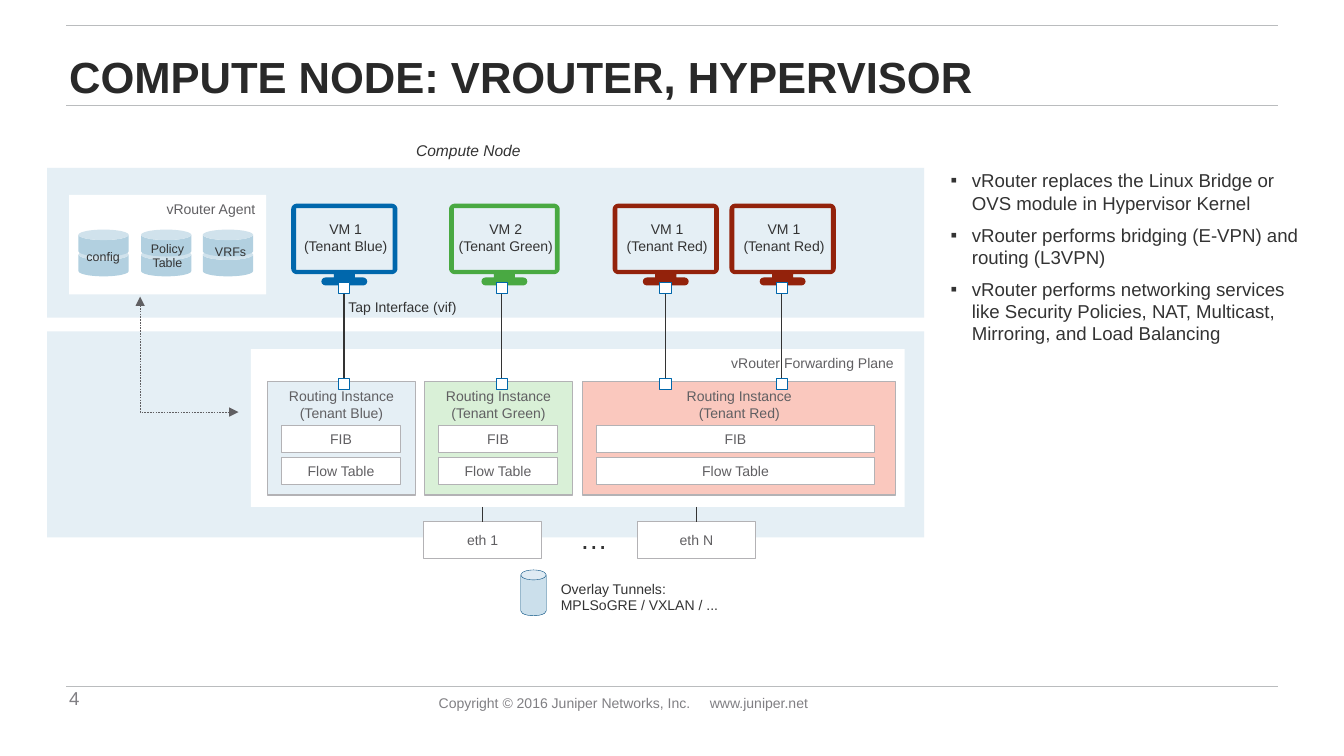
"""Build a slide on the compute node, its vRouter and its hypervisor."""
import math
from dataclasses import dataclass

import lxml.etree
import pptx
import pptx.dml.color
import pptx.enum.dml
import pptx.enum.shapes
import pptx.enum.text
import pptx.oxml.ns
import pptx.shapes.autoshape
import pptx.shapes.base
import pptx.shapes.connector
import pptx.slide
import pptx.util

Cm = pptx.util.Cm
Pt = pptx.util.Pt
RGBColor = pptx.dml.color.RGBColor
Preset = pptx.enum.shapes.MSO_SHAPE
Align = pptx.enum.text.PP_ALIGN
Anchor = pptx.enum.text.MSO_ANCHOR
qualify = pptx.oxml.ns.qn

WHITE = RGBColor(0xFF, 0xFF, 0xFF)
TITLE_BLACK = RGBColor(0x29, 0x29, 0x29)
DARK = RGBColor(0x33, 0x33, 0x33)
GREY = RGBColor(0x60, 0x5F, 0x62)
FOOTER_GREY = RGBColor(0x80, 0x7F, 0x83)
BORDER = RGBColor(0xB3, 0xB2, 0xB5)
RULE = RGBColor(0xBA, 0xBC, 0xBE)
PALE_BLUE = RGBColor(0xE5, 0xEF, 0xF5)
PALE_GREEN = RGBColor(0xD9, 0xF0, 0xD7)
PALE_RED = RGBColor(0xFA, 0xC8, 0xBE)
BLUE = RGBColor(0x00, 0x67, 0xAC)
GREEN = RGBColor(0x49, 0xA9, 0x42)
RED = RGBColor(0x93, 0x22, 0x0B)
STORE_BLUE = RGBColor(0xB2, 0xD0, 0xE0)
TUNNEL_BLUE = RGBColor(0xCB, 0xDF, 0xEB)
TUNNEL_EDGE = RGBColor(0x00, 0x4C, 0x7F)

TAP_SIZE = 0.26


@dataclass(frozen=True)
class Box:
    left: float
    top: float
    width: float
    height: float

    def lengths(self) -> tuple:
        return Cm(self.left), Cm(self.top), Cm(self.width), Cm(self.height)


@dataclass(frozen=True)
class RoutingInstance:
    tenant: str
    left: float
    width: float
    table_width: float
    fill: RGBColor


@dataclass(frozen=True)
class Machine:
    label: str
    center: float
    width: float
    tap_center: float
    color: RGBColor


@dataclass(frozen=True)
class Store:
    label: str
    left: float
    label_box: Box


INSTANCES = [
    RoutingInstance("Blue", 6.07, 3.35, 2.69, PALE_BLUE),
    RoutingInstance("Green", 9.63, 3.35, 2.69, PALE_GREEN),
    RoutingInstance("Red", 13.21, 7.11, 6.3, PALE_RED),
]
MACHINES = [
    Machine("VM 1\n(Tenant Blue)", 7.81, 2.41, 7.8, BLUE),
    Machine("VM 2\n(Tenant Green)", 11.44, 2.51, 11.38, GREEN),
    Machine("VM 1\n(Tenant Red)", 15.1, 2.41, 15.09, RED),
    Machine("VM 1\n(Tenant Red)", 17.75, 2.41, 17.73, RED),
]
STORES = [
    Store("config", 1.78, Box(1.63, 5.51, 1.42, 0.61)),
    Store("Policy Table", 3.2, Box(3.15, 5.33, 1.3, 0.94)),
    Store("VRFs", 4.6, Box(4.52, 5.41, 1.42, 0.61)),
]
BULLETS = [
    "vRouter replaces the Linux Bridge or OVS module in Hypervisor Kernel",
    "vRouter performs bridging (E-VPN) and routing (L3VPN)",
    "vRouter performs networking services like Security Policies, NAT, Multicast, "
    "Mirroring, and Load Balancing",
]


def write_text(shape: pptx.shapes.base.BaseShape, text: str, *, size: float = 9,
               color: RGBColor = DARK, align: Align = Align.LEFT, anchor: Anchor = Anchor.TOP,
               bold: bool = False, italic: bool = False, wrap: bool = True,
               margins: tuple = (0.25, 0.13, 0.25, 0.13), line_spacing: float = 1.0,
               space_after: float = 0, bullet: str = "", tab: float = 0) -> None:
    frame = shape.text_frame
    frame.auto_size = pptx.enum.text.MSO_AUTO_SIZE.NONE
    frame.word_wrap = wrap
    frame.vertical_anchor = anchor
    frame.margin_left, frame.margin_top, frame.margin_right, frame.margin_bottom = map(Cm, margins)
    for index, line in enumerate(text.split("\n")):
        paragraph = frame.add_paragraph() if index else frame.paragraphs[0]
        paragraph.alignment = align
        paragraph.line_spacing = line_spacing
        paragraph.space_before = Pt(0)
        paragraph.space_after = Pt(space_after)
        properties = paragraph._p.get_or_add_pPr()
        if bullet:
            properties.set("marL", str(Cm(0.48)))
            properties.set("indent", str(-Cm(0.48)))
            lxml.etree.SubElement(properties, qualify("a:buChar"), char=bullet)
        if tab:
            tabs = lxml.etree.SubElement(properties, qualify("a:tabLst"))
            lxml.etree.SubElement(tabs, qualify("a:tab"), pos=str(Cm(tab)), algn="l")
        run = paragraph.add_run()
        run.text = line
        run.font.name, run.font.size = "Arial", Pt(size)
        run.font.bold, run.font.italic = bold, italic
        run.font.color.rgb = color


def add_label(slide: pptx.slide.Slide, box: Box, text: str, **text_format) -> None:
    write_text(slide.shapes.add_textbox(*box.lengths()), text, **text_format)


def add_block(slide: pptx.slide.Slide, box: Box, fill: RGBColor, border: RGBColor | None = None,
              border_width: float = 0.75, preset: Preset = Preset.RECTANGLE
              ) -> pptx.shapes.autoshape.Shape:
    shape = slide.shapes.add_shape(preset, *box.lengths())
    shape.shadow.inherit = False
    shape.fill.solid()
    shape.fill.fore_color.rgb = fill
    if border is None:
        shape.line.fill.background()
    else:
        shape.line.color.rgb = border
        shape.line.width = Pt(border_width)
    return shape


def add_can(slide: pptx.slide.Slide, box: Box, fill: RGBColor,
            border: RGBColor | None = None) -> None:
    add_block(slide, box, fill, border, 0.25, Preset.CAN).adjustments[0] = 0.39


def add_cell(slide: pptx.slide.Slide, box: Box, text: str) -> pptx.shapes.autoshape.Shape:
    cell = add_block(slide, box, WHITE, BORDER)
    write_text(cell, text, color=GREY, align=Align.CENTER, anchor=Anchor.MIDDLE)
    return cell


def add_line(slide: pptx.slide.Slide, start: tuple[float, float], end: tuple[float, float],
             color: RGBColor = DARK, width: float = 0.75) -> pptx.shapes.connector.Connector:
    line = slide.shapes.add_connector(pptx.enum.shapes.MSO_CONNECTOR.STRAIGHT,
                                      *map(Cm, start + end))
    line.line.color.rgb = color
    line.line.width = Pt(width)
    lxml.etree.SubElement(line._element.spPr, qualify("a:effectLst"))
    return line


def arc(x: float, y: float, radius: float, start: int, sweep: int = 90) -> list:
    angles = [math.radians(start + sweep * step / 6) for step in range(7)]
    return [(Cm(x + radius * math.cos(angle)), Cm(y + radius * math.sin(angle)))
            for angle in angles]


def add_monitor(slide: pptx.slide.Slide, machine: Machine) -> None:
    x, top, half, radius = machine.center, 4.62, machine.width / 2, 0.13
    side, bottom = half - radius, top + 1.6
    foot = bottom + 0.165
    outline = (arc(x - side, top + radius, radius, 180) + arc(x + side, top + radius, radius, 270)
               + arc(x + side, bottom - radius, radius, 0)
               + [(Cm(x + 0.24), Cm(bottom)), (Cm(x + 0.24), Cm(foot - 0.09))]
               + arc(x + 0.43, foot, 0.09, 270, 180) + arc(x - 0.43, foot, 0.09, 90, 180)
               + [(Cm(x - 0.24), Cm(foot - 0.09)), (Cm(x - 0.24), Cm(bottom))]
               + arc(x - side, bottom - radius, radius, 90))
    left, right = Cm(x - half + 0.11), Cm(x + half - 0.11)
    upper, lower = Cm(top + 0.1), Cm(top + 1.5)
    builder = slide.shapes.build_freeform(*outline[0])
    builder.add_line_segments(outline[1:])
    builder.move_to(right, lower)
    builder.add_line_segments([(left, lower), (left, upper), (right, upper)])
    monitor = builder.convert_to_shape()
    monitor.shadow.inherit = False
    monitor.fill.solid()
    monitor.fill.fore_color.rgb = machine.color
    monitor.line.fill.background()


def add_machine(slide: pptx.slide.Slide, machine: Machine) -> None:
    add_monitor(slide, machine)
    add_label(slide, Box(machine.center - 1.38, 4.88, 2.82, 1.02), machine.label,
              align=Align.CENTER)
    upper, lower = [add_block(slide, Box(machine.tap_center - TAP_SIZE / 2, top, TAP_SIZE, TAP_SIZE),
                              WHITE, BLUE, 0.25) for top in (6.4, 8.58)]
    link = add_line(slide, (machine.tap_center, 6.66), (machine.tap_center, 8.58))
    link.begin_connect(upper, 2)
    link.end_connect(lower, 0)


def add_instance(slide: pptx.slide.Slide, instance: RoutingInstance) -> None:
    card = add_block(slide, Box(instance.left, 8.66, instance.width, 2.57), instance.fill, BORDER)
    write_text(card, f"Routing Instance\n(Tenant {instance.tenant})", color=GREY,
               align=Align.CENTER)
    for text, top in (("FIB", 9.65), ("Flow Table", 10.38)):
        add_cell(slide, Box(instance.left + 0.32, top, instance.table_width, 0.62), text)


def add_agent_link(slide: pptx.slide.Slide) -> None:
    builder = slide.shapes.build_freeform(Cm(3.18), Cm(6.73))
    builder.add_line_segments([(Cm(3.18), Cm(9.35)), (Cm(5.41), Cm(9.35))], close=False)
    link = builder.convert_to_shape()
    link.shadow.inherit = False
    link.fill.background()
    link.line.color.rgb = GREY
    link.line.width = Pt(0.25)
    link.line.dash_style = pptx.enum.dml.MSO_LINE.DASH
    for end in ("a:headEnd", "a:tailEnd"):
        lxml.etree.SubElement(link.line._ln, qualify(end), type="triangle")


def place(shape: pptx.shapes.base.BaseShape, box: Box) -> None:
    shape.left, shape.top, shape.width, shape.height = box.lengths()


def main() -> None:
    presentation = pptx.Presentation()
    presentation.slide_width, presentation.slide_height = Cm(30.48), Cm(17.15)
    slide = presentation.slides.add_slide(presentation.slide_layouts[1])
    title, body = slide.placeholders
    place(title, Box(1.57, 0.64, 27.41, 1.85))
    write_text(title, "COMPUTE NODE: VROUTER, HYPERVISOR", size=28, color=TITLE_BLACK, bold=True,
               anchor=Anchor.BOTTOM, margins=(0, 0.15, 0.3, 0.15), line_spacing=0.9)
    place(body, Box(21.31, 3.71, 8.76, 4.27))
    write_text(body, "\n".join(BULLETS), size=12, space_after=6, bullet="▪")
    for height in (0.58, 2.39, 15.57):
        add_line(slide, (1.5, height), (28.98, height), RULE, 1)
    add_label(slide, Box(1.57, 15.57, 1.78, 0.51), "4", size=12, color=FOOTER_GREY,
              anchor=Anchor.BOTTOM, margins=(0, 0, 0, 0), wrap=False)
    add_label(slide, Box(9.65, 15.6, 9.04, 0.69),
              "Copyright © 2016 Juniper Networks, Inc.\twww.juniper.net", color=FOOTER_GREY,
              margins=(0.3, 0.15, 0.3, 0.15), tab=6.15)

    add_label(slide, Box(8.41, 3.07, 4.42, 0.69), "Compute Node", size=10, italic=True,
              align=Align.CENTER)
    add_block(slide, Box(1.07, 3.81, 19.89, 3.4), PALE_BLUE)
    add_block(slide, Box(1.07, 7.52, 19.89, 4.67), PALE_BLUE)
    plane = add_block(slide, Box(5.69, 7.92, 14.83, 3.58), WHITE)
    write_text(plane, "vRouter Forwarding Plane", color=GREY, align=Align.RIGHT)
    for instance in INSTANCES:
        add_instance(slide, instance)
    for machine in MACHINES:
        add_machine(slide, machine)
    add_label(slide, Box(7.65, 6.65, 4.42, 0.64), "Tap Interface (vif)")

    for text, left in (("eth 1", 9.6), ("eth N", 14.45)):
        port = add_cell(slide, Box(left, 11.84, 2.69, 0.84), text)
        center = left + 2.69 / 2
        add_line(slide, (center, 11.5), (center, 11.84)).end_connect(port, 0)
    add_label(slide, Box(12.9, 11.71, 1.8, 1.02), "…", size=18)
    add_can(slide, Box(11.81, 12.93, 0.58, 1.04), TUNNEL_BLUE, TUNNEL_EDGE)
    add_label(slide, Box(12.47, 13.03, 4.42, 1.02), "Overlay Tunnels: MPLSoGRE / VXLAN / ...")

    agent = add_block(slide, Box(1.57, 4.42, 4.47, 2.26), WHITE)
    write_text(agent, "vRouter Agent", color=GREY, align=Align.RIGHT)
    for store in STORES:
        for top in (5.66, 5.21):
            add_can(slide, Box(store.left, top, 1.14, 0.61), STORE_BLUE)
        add_label(slide, store.label_box, store.label, size=8, align=Align.CENTER)
    add_agent_link(slide)
    presentation.save("out.pptx")


if __name__ == "__main__":
    main()
